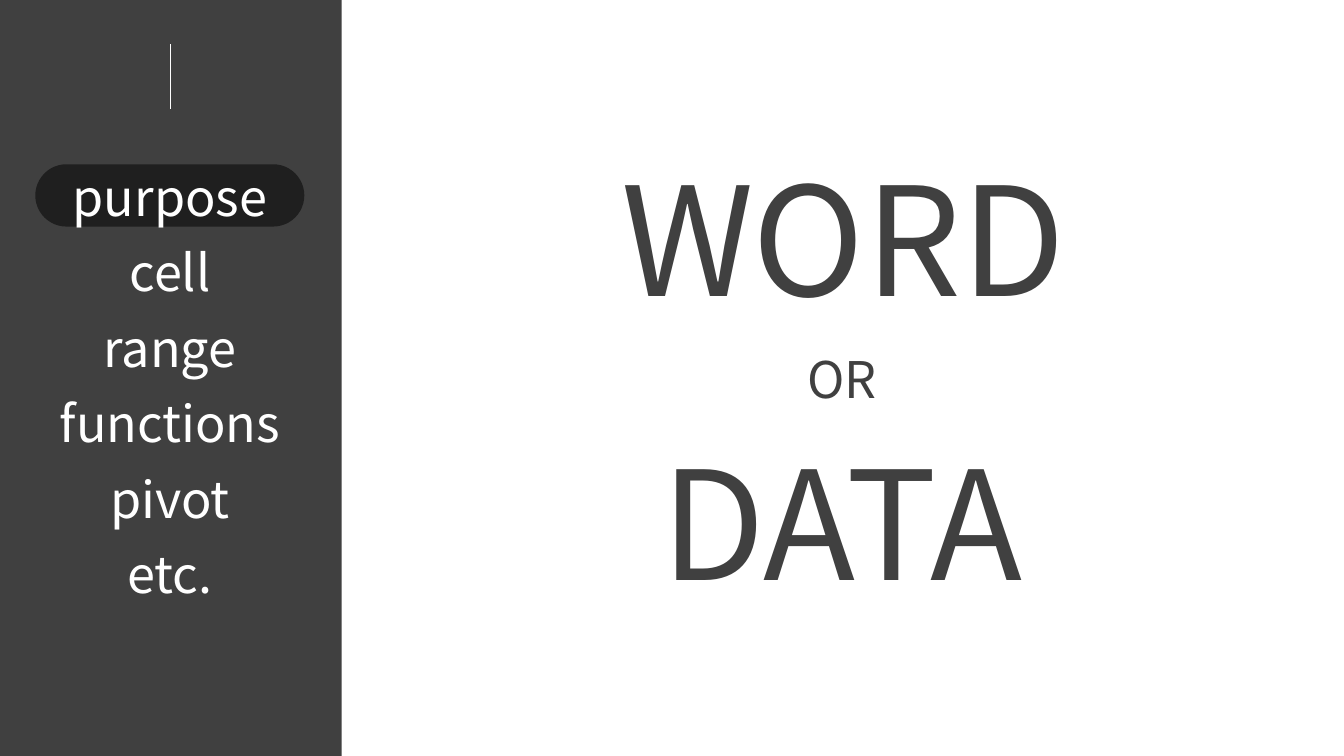
from lxml.etree import SubElement
from pptx import Presentation
from pptx.dml.color import RGBColor
from pptx.enum.shapes import MSO_CONNECTOR, MSO_SHAPE
from pptx.enum.text import MSO_ANCHOR, MSO_AUTO_SIZE, PP_ALIGN
from pptx.oxml.ns import qn
from pptx.util import Cm, Pt

FONT = "Noto Sans CJK KR"
DARK, DARKER, WHITE = "404040", "1F1F1F", "FFFFFF"
TOPICS = ["purpose", "cell", "range", "functions", "pivot", "etc."]
TOPIC_PITCH = Pt(53.85)

WORD_FRAME = {"anchor": MSO_ANCHOR.MIDDLE, "auto": MSO_AUTO_SIZE.SHAPE_TO_FIT_TEXT}
MENU_FRAME = {"anchor": MSO_ANCHOR.TOP, "auto": MSO_AUTO_SIZE.NONE}
MENU_MARGINS = {"margin_top": 0, "margin_bottom": 0}
MENU_SPACING = {"line_spacing": TOPIC_PITCH, "space_before": Pt(0), "space_after": Pt(0)}


def apply(target, values):
    for attribute, value in values.items():
        setattr(target, attribute, value)


def color(hex_value):
    return RGBColor.from_string(hex_value)


def place(element, left, top, width, height):
    apply(element, {"left": Cm(left), "top": Cm(top),
                    "width": Cm(width), "height": Cm(height)})


def add_panel(slide, preset, box, fill):
    panel = slide.shapes.add_shape(preset, *map(Cm, box))
    panel.shadow.inherit = False
    panel.fill.solid()
    panel.fill.fore_color.rgb = color(fill)
    panel.line.fill.background()
    return panel


def add_rule(slide, x, top, bottom):
    rule = slide.shapes.add_connector(
        MSO_CONNECTOR.STRAIGHT, Cm(x), Cm(top), Cm(x), Cm(bottom))
    rule.line.color.rgb = color(WHITE)
    rule.line.width = Pt(1)
    SubElement(rule.element.spPr, qn("a:effectLst"))


def write(holder, lines, size, hex_value, frame_format):
    frame = holder.text_frame
    frame.text = "\n".join(lines)
    apply(frame, {"word_wrap": True, "vertical_anchor": frame_format["anchor"],
                  "auto_size": frame_format["auto"]})
    for paragraph in frame.paragraphs:
        paragraph.alignment = PP_ALIGN.CENTER
        for run in paragraph.runs:
            apply(run.font, {"name": FONT, "size": Pt(size), "bold": False})
            run.font.color.rgb = color(hex_value)


def add_word(slide, word, box, size):
    holder = slide.shapes.add_textbox(*map(Cm, box))
    write(holder, [word], size, DARK, WORD_FRAME)


def bring_to_front(slide, holder):
    slide.shapes.element.append(holder.element)


def fill_menu(slide, menu):
    bring_to_front(slide, menu)
    place(menu, 0.36, 3.81, 7.85, 11.5)
    write(menu, TOPICS, 36, WHITE, MENU_FRAME)
    apply(menu.text_frame, MENU_MARGINS)
    for paragraph in menu.text_frame.paragraphs:
        apply(paragraph, MENU_SPACING)
        properties = paragraph._p.get_or_add_pPr()
        properties.set("marL", "0")
        properties.set("indent", "0")
        SubElement(properties, qn("a:buNone"))


def fill_title(slide, title):
    bring_to_front(slide, title)
    place(title, 14.05, 3.51, 14.4, 4.88)
    write(title, ["WORD"], 108, DARK, WORD_FRAME)


def main():
    deck = Presentation()
    apply(deck, {"slide_width": Cm(33.87), "slide_height": Cm(19.05)})
    slide = deck.slides.add_slide(deck.slide_layouts[1])
    title, menu = slide.placeholders

    add_panel(slide, MSO_SHAPE.RECTANGLE, (0, 0, 8.61, 19.05), DARK)
    highlight = add_panel(slide, MSO_SHAPE.ROUNDED_RECTANGLE,
                          (0.89, 4.14, 6.78, 1.57), DARKER)
    highlight.adjustments[0] = 0.5
    fill_menu(slide, menu)
    add_rule(slide, 4.29, 1.12, 2.74)

    fill_title(slide, title)
    add_word(slide, "DATA", (15.29, 10.67, 11.86, 4.88), 108)
    add_word(slide, "OR", (19.91, 8.64, 2.62, 1.8), 36)
    deck.save("out.pptx")


if __name__ == "__main__":
    main()
